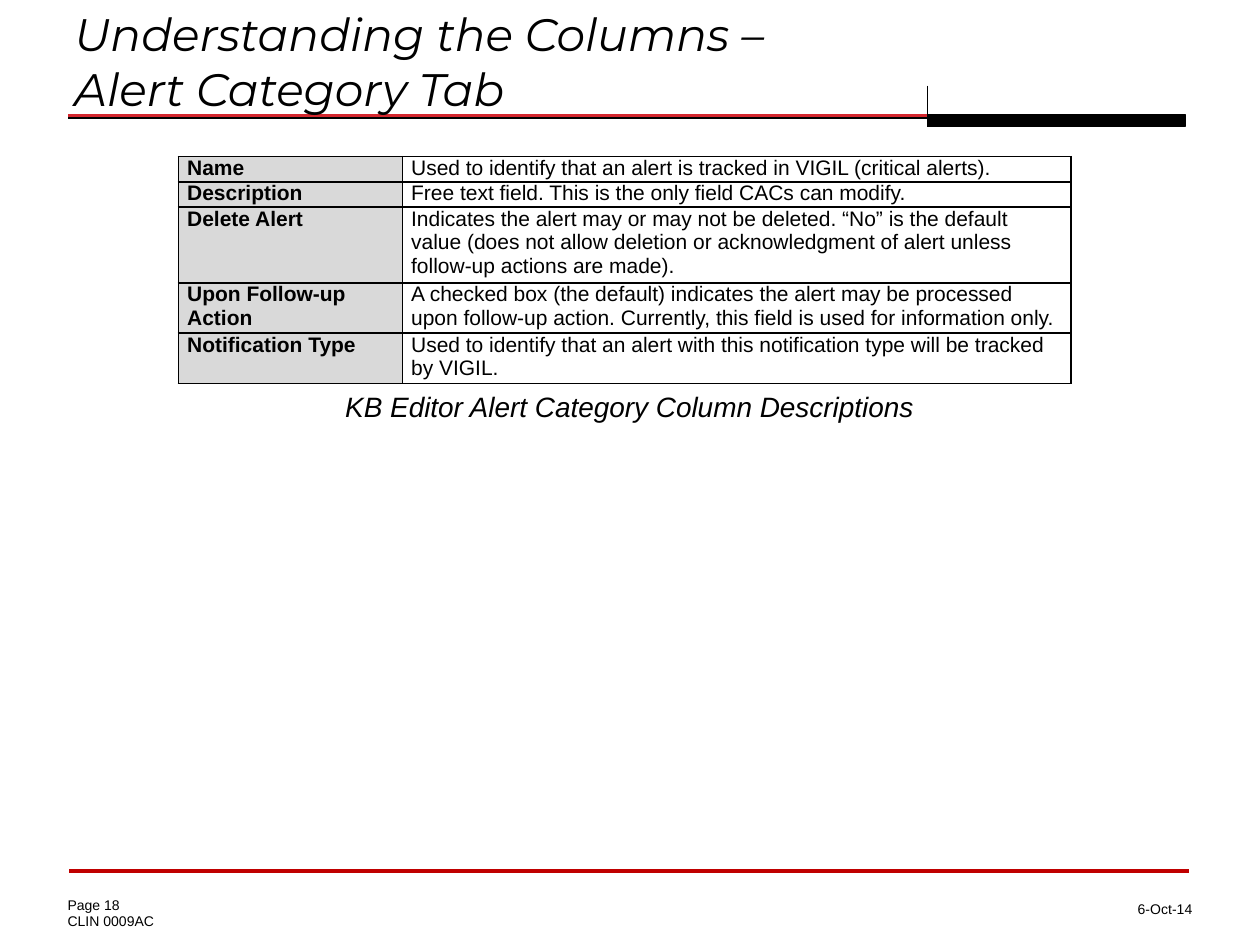
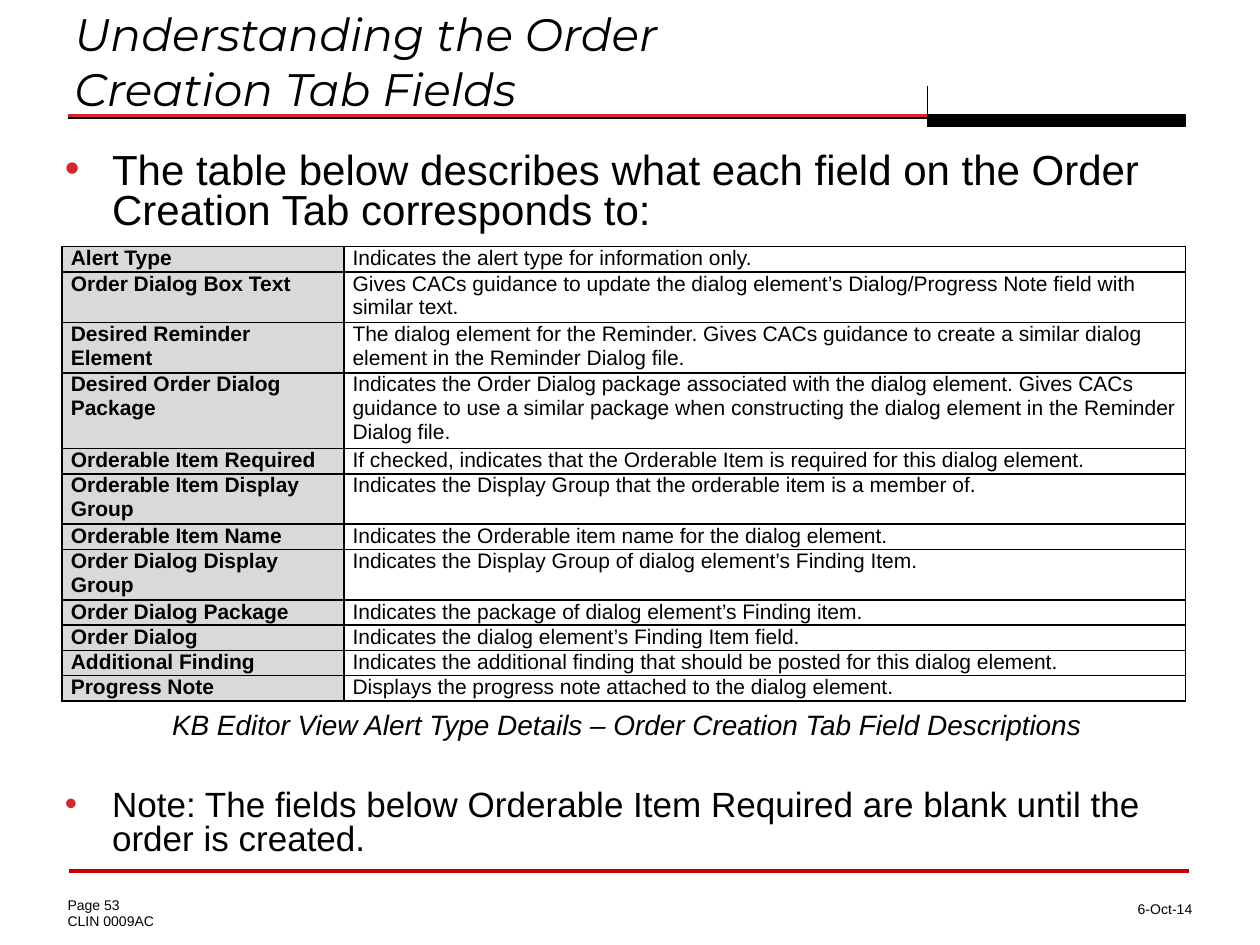
"""Build two slides that describe the KB Editor columns and fields."""
import dataclasses

import pptx
import pptx.dml.color
import pptx.enum.shapes
import pptx.enum.text
import pptx.oxml.ns
import pptx.util
from lxml import etree

Pt = pptx.util.Pt
ALIGN = pptx.enum.text.PP_ALIGN
ANCHOR = pptx.enum.text.MSO_ANCHOR


@dataclasses.dataclass(frozen=True)
class Theme:
    black: str = "000000"
    white: str = "FFFFFF"
    red: str = "D4272E"
    dark_red: str = "C00000"
    label_fill: str = "D9D9D9"
    title_font: str = "Montserrat"
    body_font: str = "Arial"
    title: int = 26
    lead: int = 24
    note: int = 20
    caption: int = 16
    cell: int = 12
    footer: int = 8


T = Theme()

CONTRACT = "CLIN 0009AC"
DATE = "6-Oct-14"

SLIDES = [
    {
        "title": "Understanding the Columns – Alert Category Tab",
        "page": "Page 18",
        "table_at": (102, 89.5),
        "columns": (128, 382),
        "rows": [
            ("Name", "Used to identify that an alert is tracked in VIGIL (critical alerts)."),
            ("Description", "Free text field. This is the only field CACs can modify."),
            ("Delete Alert", "Indicates the alert may or may not be deleted. “No” is the default value "
             "(does not allow deletion or acknowledgment of alert unless follow-up actions are made)."),
            ("Upon Follow-up Action", "A checked box (the default) indicates the alert may be processed "
             "upon follow-up action. Currently, this field is used for information only."),
            ("Notification Type", "Used to identify that an alert with this notification type will be "
             "tracked by VIGIL."),
        ],
        "caption": "KB Editor Alert Category Column Descriptions",
        "caption_at": (31.5, 223),
        "bullets": [],
    },
    {
        "title": "Understanding the Order Creation Tab Fields",
        "page": "Page 53",
        "table_at": (35.5, 141),
        "columns": (161, 481),
        "rows": [
            ("Alert Type", "Indicates the alert type for information only."),
            ("Order Dialog Box Text", "Gives CACs guidance to update the dialog element’s "
             "Dialog/Progress Note field with similar text."),
            ("Desired Reminder Element", "The dialog element for the Reminder. Gives CACs guidance to "
             "create a similar dialog element in the Reminder Dialog file."),
            ("Desired Order Dialog Package", "Indicates the Order Dialog package associated with the "
             "dialog element. Gives CACs guidance to use a similar package when constructing the dialog "
             "element in the Reminder Dialog file."),
            ("Orderable Item Required", "If checked, indicates that the Orderable Item is required for "
             "this dialog element."),
            ("Orderable Item Display Group", "Indicates the Display Group that the orderable item is a "
             "member of."),
            ("Orderable Item Name", "Indicates the Orderable item name for the dialog element."),
            ("Order Dialog Display Group", "Indicates the Display Group of dialog element’s Finding Item."),
            ("Order Dialog Package", "Indicates the package of dialog element’s Finding item."),
            ("Order Dialog", "Indicates the dialog element’s Finding Item field."),
            ("Additional Finding", "Indicates the additional finding that should be posted for this "
             "dialog element."),
            ("Progress Note", "Displays the progress note attached to the dialog element."),
        ],
        "caption": "KB Editor View Alert Type Details – Order Creation Tab Field Descriptions",
        "caption_at": (30, 404.5),
        "bullets": [
            ("The table below describes what each field on the Order Creation Tab corresponds to:",
             84, T.lead),
            ("Note: The fields below Orderable Item Required are blank until the order is created.",
             448.5, T.note),
        ],
    },
]

RULES = [
    ((39, 66), (530.5, 66), T.red, 2),
    ((39, 67.5), (543, 67.5), T.black, 1),
    ((39.5, 497.5), (679.5, 497.5), T.dark_red, 2.25),
    ((530, 49), (530, 72.5), T.black, 1),
]
TITLE_BAR = (530.5, 65.5, 147, 6.5)
BODY_WIDTH = 656.5
ROW_HEIGHT = 7.2
BULLET_INDENT = 27


def rgb(value):
    return pptx.dml.color.RGBColor.from_string(value)


def add_xml(parent, tag, **attrs):
    return etree.SubElement(parent, pptx.oxml.ns.qn(tag), attrs)


def set_font(p, size, name=T.body_font, bold=False, italic=False):
    f = p.font
    f.size, f.name, f.bold, f.italic = Pt(size), name, bold, italic
    f.color.rgb = rgb(T.black)


def add_text(s, box, lines, size, align=ALIGN.LEFT, anchor=ANCHOR.TOP, wrap=True, **font):
    tf = s.shapes.add_textbox(*map(Pt, box)).text_frame
    tf.word_wrap, tf.vertical_anchor = wrap, anchor
    tf.text = "\n".join(lines)
    for p in tf.paragraphs:
        p.alignment = align
        set_font(p, size, **font)
    return tf.paragraphs[0]


def add_body(s, at, text, size, height, **style):
    p = add_text(s, (*at, BODY_WIDTH, height), [text], size, **style)
    p.line_spacing = 0.8
    p.space_before = Pt(size * 0.2)
    return p


def add_bullet(s, text, top, size):
    p = add_body(s, (30, top), text, size, 46)
    pPr = p._p.get_or_add_pPr()
    pPr.set("marL", str(Pt(BULLET_INDENT)))
    pPr.set("indent", str(-Pt(BULLET_INDENT)))
    add_xml(add_xml(pPr, "a:buClr"), "a:srgbClr", val=T.red)
    add_xml(pPr, "a:buFont", typeface=T.body_font)
    add_xml(pPr, "a:buChar", char="•")


def add_frame(s, page):
    for start, end, color, width in RULES:
        sp = s.shapes.add_connector(pptx.enum.shapes.MSO_CONNECTOR.STRAIGHT, *map(Pt, start + end))
        sp.line.color.rgb, sp.line.width = rgb(color), Pt(width)
        add_xml(sp._element.spPr, "a:effectLst")
    bar = s.shapes.add_shape(pptx.enum.shapes.MSO_SHAPE.RECTANGLE, *map(Pt, TITLE_BAR))
    bar.shadow.inherit = False
    bar.fill.solid()
    bar.fill.fore_color.rgb = bar.line.color.rgb = rgb(T.black)
    bar.line.width = Pt(1)
    add_text(s, (31.5, 508.5, 65.5, 26.5), [page, CONTRACT], T.footer, wrap=False)
    add_text(s, (636, 509, 52.5, 21), [DATE], T.footer, ALIGN.RIGHT, ANCHOR.MIDDLE, wrap=False)


def style_cell(cell, text, is_label):
    cell.margin_left = cell.margin_right = Pt(5)
    cell.margin_top = cell.margin_bottom = 0
    cell.text = text
    p = cell.text_frame.paragraphs[0]
    p.space_before = p.space_after = Pt(2)
    set_font(p, T.cell, bold=is_label)
    tcPr = cell._tc.get_or_add_tcPr()
    for side in "LRTB":
        ln = add_xml(tcPr, f"a:ln{side}", w=str(Pt(1)))
        add_xml(add_xml(ln, "a:solidFill"), "a:srgbClr", val=T.black)
    cell.fill.solid()
    cell.fill.fore_color.rgb = rgb(T.label_fill if is_label else T.white)


def add_descriptions(s, at, columns, rows):
    size = (sum(columns), ROW_HEIGHT * len(rows))
    table = s.shapes.add_table(len(rows), len(columns), *map(Pt, at + size)).table
    table.first_row = table.horz_banding = False
    for column, width in zip(table.columns, columns):
        column.width = Pt(width)
    for i, row in enumerate(rows):
        for j, text in enumerate(row):
            style_cell(table.cell(i, j), text, j == 0)


def main():
    prs = pptx.Presentation()
    prs.slide_width, prs.slide_height = Pt(720), Pt(540)
    for d in SLIDES:
        s = prs.slides.add_slide(prs.slide_layouts[6])
        add_frame(s, d["page"])
        add_text(s, (35.5, 13.5, 426, 42.5), [d["title"]], T.title, anchor=ANCHOR.MIDDLE,
                 name=T.title_font, italic=True)
        add_descriptions(s, d["table_at"], d["columns"], d["rows"])
        add_body(s, d["caption_at"], d["caption"], T.caption, 27.5, align=ALIGN.CENTER, italic=True)
        for bullet in d["bullets"]:
            add_bullet(s, *bullet)
    prs.save("out.pptx")


if __name__ == "__main__":
    main()
